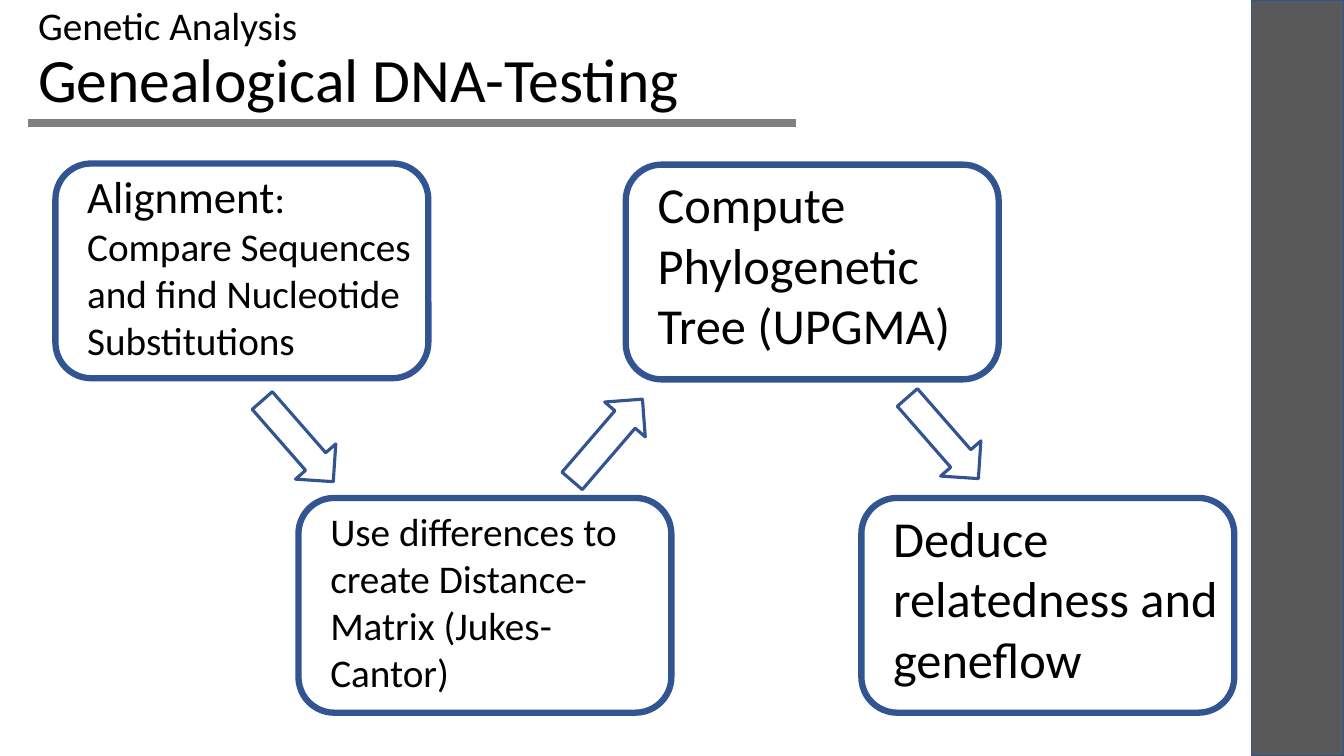
from copy import deepcopy
from pptx import Presentation
from pptx.dml.color import RGBColor
from pptx.enum.shapes import MSO_CONNECTOR, MSO_SHAPE
from pptx.enum.text import MSO_ANCHOR, PP_ALIGN
from pptx.oxml.ns import qn
from pptx.util import Pt

ROUND = MSO_SHAPE.ROUNDED_RECTANGLE
ARROW = MSO_SHAPE.RIGHT_ARROW
RECT = MSO_SHAPE.RECTANGLE
LINE = MSO_CONNECTOR.STRAIGHT
MIDDLE = MSO_ANCHOR.MIDDLE
LEFT = PP_ALIGN.LEFT
BLUE, BLACK, GRAY, DARK = "325491", "000000", "808080", "595959"


def add_run(para, text, size):
    run = para.add_run()
    run.text = text
    style = {"name": "Calibri", "size": Pt(size), "bold": False}
    for key, value in style.items():
        setattr(run.font, key, value)
    run.font.color.rgb = RGBColor.from_string(BLACK)
    return run


def add_form(kind, left, top, width, height, weight, fill=None):
    form = slide.shapes.add_shape(kind, Pt(left), Pt(top), Pt(width), Pt(height))
    form.shadow.inherit = False
    form.line.color.rgb = RGBColor.from_string(BLUE)
    form.line.width = Pt(weight)
    if fill:
        form.fill.solid()
        form.fill.fore_color.rgb = RGBColor.from_string(fill)
    else:
        form.fill.background()
    return form


deck = Presentation()
deck.slide_width, deck.slide_height = Pt(960), Pt(540)
slide = deck.slides.add_slide(deck.slide_layouts[5])

# Title in two sizes
title = slide.shapes.title
place = {"left": 20, "top": -8.6, "width": 828, "height": 104.4}
for key, value in place.items():
    setattr(title, key, Pt(value))
frame = title.text_frame
frame.word_wrap = True
frame.vertical_anchor = MIDDLE
para = frame.paragraphs[0]
para.alignment = LEFT
para.line_spacing = 0.9
topic = add_run(para, "Genetic Analysis", 28)
para.add_line_break()
para._p.find(qn("a:br")).append(deepcopy(topic._r.rPr))
add_run(para, "Genealogical DNA-Testing", 44)

# Steps: box left, box top, text top, runs with sizes
steps = [
    (39.6, 116.8, 116.8, [
        ("Alignment", 32),
        (": Compare Sequences and find Nucleotide Substitutions", 28)]),
    (213.2, 355.7, 358.6, [
        ("Use differences to create Distance-Matrix (Jukes-Cantor)", 28)]),
    (447, 117.6, 120.4, [("Compute Phylogenetic Tree (UPGMA)", 36)]),
    (615.3, 355.7, 358.6, [("Deduce relatedness and geneflow", 36)]),
]
for left, top, start, runs in steps:
    add_form(ROUND, left, top, 266.4, 153.4, 4.5)
    box = slide.shapes.add_textbox(Pt(left + 15.6), Pt(start), Pt(251.3), Pt(140))
    box.text_frame.word_wrap = True
    for text, size in runs:
        add_run(box.text_frame.paragraphs[0], text, size)

# Arrows between the steps
for left, top, turn in [(174.2, 296, 48.8), (395.3, 295.2, 310.7), (635, 293.8, 48.8)]:
    add_form(ARROW, left, top, 77, 38.2, 2.25).rotation = turn

# Side band and title rule
add_form(RECT, 894, 0, 66, 540, 1, DARK)
rule = slide.shapes.add_connector(LINE, Pt(20), Pt(87.8), Pt(568.8), Pt(87.8))
rule.line.color.rgb = RGBColor.from_string(GRAY)
rule.line.width = Pt(6)
props = rule._element.spPr
props.append(props.makeelement(qn("a:effectLst"), {}))

deck.save("out.pptx")
